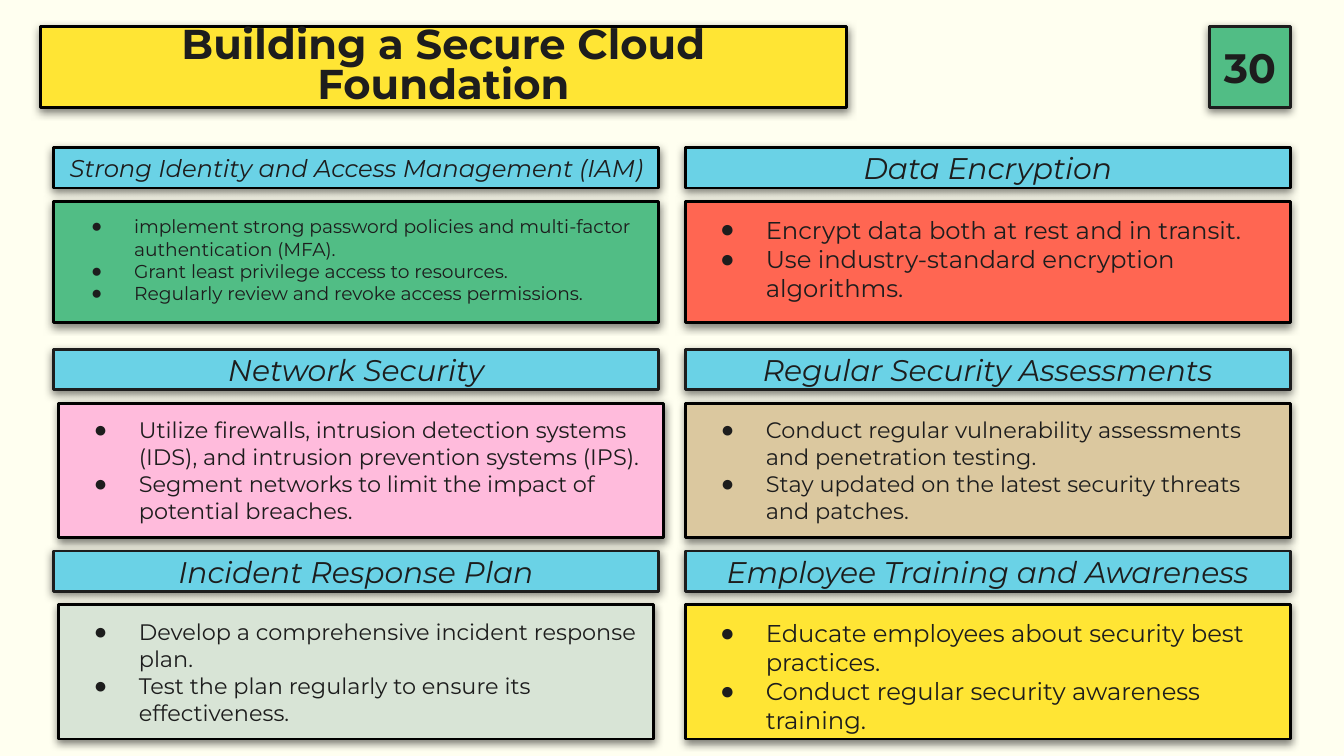
import lxml.etree
import pptx
import pptx.dml.color
import pptx.enum.shapes
import pptx.enum.text
import pptx.oxml.ns
import pptx.util

PX = 4572
INK = "1D1D1D"
BLACK = "000000"
GREEN = "51BD85"
YELLOW = "FFE534"
BLUE = "6AD2E6"
FONT = "Montserrat"

COLUMNS = (80, 1020)
CARD_WIDTH = 900
FIRST_ROW = 220
ROW_PITCH = 300
HEADING_HEIGHT = 60
BODY_OFFSET = 80
INSET = 20

CARDS = [
    ("Strong Identity and Access Management (IAM)", 13, GREEN, 10, 80, 900, [
        "implement strong password policies and multi-factor authentication (MFA).",
        "Grant least privilege access to resources.",
        "Regularly review and revoke access permissions."]),
    ("Data Encryption", 16, "FF6652", 13, 1020, 900, [
        "Encrypt data both at rest and in transit.",
        "Use industry-standard encryption algorithms."]),
    ("Network Security", 16, "FFBBDC", 12, 87, 900, [
        "Utilize firewalls, intrusion detection systems (IDS), and intrusion prevention systems (IPS).",
        "Segment networks to limit the impact of potential breaches."]),
    ("Regular Security Assessments", 16, "DBC89F", 12, 1020, 900, [
        "Conduct regular vulnerability assessments and penetration testing.",
        "Stay updated on the latest security threats and patches."]),
    ("Incident Response Plan", 16, "D8E4D6", 12, 87, 886, [
        "Develop a comprehensive incident response plan.",
        "Test the plan regularly to ensure its effectiveness."]),
    ("Employee Training and Awareness", 16, YELLOW, 13, 1020, 900, [
        "Educate employees about security best practices.",
        "Conduct regular security awareness training."]),
]


def color(value):
    return pptx.dml.color.RGBColor.from_string(value)


def add_element(parent, tag, **attributes):
    return lxml.etree.SubElement(parent, pptx.oxml.ns.qn(tag), attributes)


def add_shadow(box):
    box.shadow.inherit = False
    effects = box._element.spPr.find(pptx.oxml.ns.qn("a:effectLst"))
    shadow = add_element(
        effects, "a:outerShdw", blurRad="57150", dist="19050",
        dir="5400000", algn="bl", rotWithShape="0",
    )
    tone = add_element(shadow, "a:srgbClr", val=BLACK)
    add_element(tone, "a:alpha", val="50000")


def add_box(page, left, top, width, height, fill, line=BLACK):
    box = page.shapes.add_shape(
        pptx.enum.shapes.MSO_SHAPE.RECTANGLE,
        left * PX, top * PX, width * PX, height * PX,
    )
    box.fill.solid()
    box.fill.fore_color.rgb = color(fill)
    box.line.color.rgb = color(line)
    box.line.width = pptx.util.Pt(1.5)
    add_shadow(box)
    frame = box.text_frame
    frame.word_wrap = True
    frame.margin_left = frame.margin_right = INSET * PX
    frame.margin_top = frame.margin_bottom = INSET * PX
    return box


def style_font(para, size, bold=False, italic=False):
    para.font.name = FONT
    para.font.size = pptx.util.Pt(size)
    para.font.bold = bold
    para.font.italic = italic
    para.font.color.rgb = color(INK)


def set_label(box, text, size, bold=False, italic=False):
    box.text_frame.vertical_anchor = pptx.enum.text.MSO_ANCHOR.MIDDLE
    para = box.text_frame.paragraphs[0]
    para.text = text
    para.alignment = pptx.enum.text.PP_ALIGN.CENTER
    style_font(para, size, bold, italic)
    return para


def add_bullet(para, size):
    properties = para._p.get_or_add_pPr()
    properties.set("marL", str(100 * PX))
    properties.set("indent", str(-round(50 + 1.4 * size) * PX))
    tone = add_element(properties, "a:buClr")
    add_element(tone, "a:srgbClr", val=INK)
    add_element(properties, "a:buFont", typeface="Arial")
    add_element(properties, "a:buChar", char="●")


def set_bullets(box, items, size):
    frame = box.text_frame
    frame.vertical_anchor = pptx.enum.text.MSO_ANCHOR.TOP
    for index, item in enumerate(items):
        para = frame.add_paragraph() if index else frame.paragraphs[0]
        para.text = item
        para.alignment = pptx.enum.text.PP_ALIGN.LEFT
        add_bullet(para, size)
        style_font(para, size)


def add_card(page, index, card):
    heading, heading_size, fill, size, body_left, body_width, items = card
    row, column = divmod(index, len(COLUMNS))
    top = FIRST_ROW + row * ROW_PITCH
    body_height = 200 if row else 180
    body = add_box(page, body_left, top + BODY_OFFSET, body_width, body_height, fill)
    set_bullets(body, items, size)
    line = INK if row else BLACK
    header = add_box(page, COLUMNS[column], top, CARD_WIDTH, HEADING_HEIGHT, BLUE, line)
    set_label(header, heading, heading_size, italic=True)


def main():
    deck = pptx.Presentation()
    deck.slide_width = 2000 * PX
    deck.slide_height = 1125 * PX
    page = deck.slides.add_slide(deck.slide_layouts[6])
    page.background.fill.solid()
    page.background.fill.fore_color.rgb = color("FFFFF0")

    number = add_box(page, 1800, 40, 120, 120, GREEN, INK)
    set_label(number, "30", 22, bold=True)
    title = add_box(page, 60, 40, 1200, 120, YELLOW)
    para = set_label(title, "Building a Secure Cloud Foundation", 22.3, bold=True)
    para.line_spacing = 0.8
    for index, card in enumerate(CARDS):
        add_card(page, index, card)
    deck.save("out.pptx")


if __name__ == "__main__":
    main()
